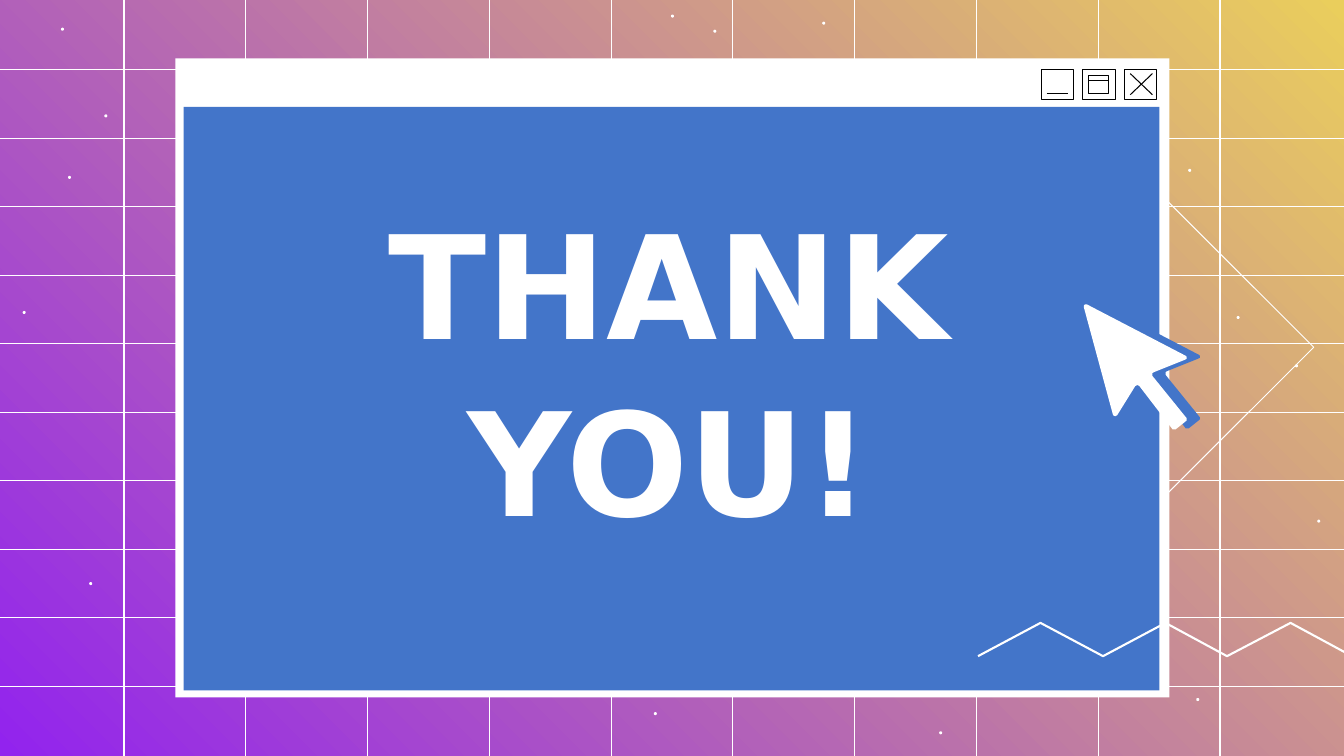
from dataclasses import dataclass

from lxml.etree import SubElement
from pptx import Presentation
from pptx.dml.color import RGBColor
from pptx.enum.shapes import MSO_CONNECTOR, MSO_SHAPE
from pptx.enum.text import MSO_ANCHOR, MSO_AUTO_SIZE, PP_ALIGN
from pptx.oxml.ns import qn
from pptx.shapes.autoshape import Shape
from pptx.shapes.shapetree import GroupShapes
from pptx.slide import Slide
from pptx.util import Inches, Pt

Point = tuple[float, float]


@dataclass(frozen=True)
class Theme:
    purple: str = "9223EE"
    yellow: str = "EACE5C"
    blue: str = "4375C9"
    white: str = "FFFFFF"
    black: str = "000000"
    font: str = "DejaVu Sans"
    title_size: float = 102.7
    thin: float = 0.75
    medium: float = 1.5


@dataclass(frozen=True)
class Box:
    left: float
    top: float
    width: float
    height: float
    fill: str | None = None
    line: str | None = None
    kind: MSO_SHAPE = MSO_SHAPE.RECTANGLE


@dataclass(frozen=True)
class Line:
    x1: float
    y1: float
    x2: float
    y2: float
    color: str


T = Theme()
WIDTH, HEIGHT = 13.33, 7.5
STAR_SIZE = 0.03

STARS = [
    (11.88, 6.94), (11.8, 1.69), (8.72, 6.32), (6.5, 7.08), (12.86, 3.63),
    (12.28, 3.15), (13.08, 5.17), (1.05, 1.15), (0.69, 1.76), (0.62, 0.29),
    (9.33, 7.27), (0.9, 5.79), (0.24, 3.1), (8.17, 0.23), (7.09, 0.31),
    (6.67, 0.16),
]
ZIGZAG = [
    (9.7, 6.51), (10.32, 6.18), (10.94, 6.51), (11.56, 6.18),
    (12.17, 6.51), (12.8, 6.18), (13.41, 6.51),
]
CURSOR = [
    (10.75, 3.03), (10.76, 3.02), (10.78, 3.02), (11.76, 3.53),
    (11.77, 3.54), (11.77, 3.56), (11.75, 3.57), (11.45, 3.69),
    (11.43, 3.7), (11.43, 3.73), (11.77, 4.15), (11.77, 4.17),
    (11.76, 4.18), (11.66, 4.26), (11.63, 4.26), (11.3, 3.83),
    (11.28, 3.82), (11.26, 3.83), (11.08, 4.12), (11.06, 4.13),
    (11.04, 4.12), (10.75, 3.05),
]
CURSOR_SHADOW_OFFSET = (0.13, -0.01)

BUTTON_LEFTS = (10.33, 10.74, 11.15)
WINDOW_BOXES = [
    Box(1.74, 0.58, 9.86, 6.34, fill=T.white),
    Box(1.82, 1.06, 9.68, 5.79, fill=T.blue),
    *(Box(x, 0.69, 0.32, 0.3, line=T.black) for x in BUTTON_LEFTS),
    Box(10.8, 0.75, 0.19, 0.18, line=T.black),
]
WINDOW_LINES = [
    Line(10.38, 0.93, 10.59, 0.93, T.black),
    Line(10.8, 0.8, 10.99, 0.8, T.black),
    Line(11.21, 0.73, 11.43, 0.94, T.black),
    Line(11.21, 0.94, 11.43, 0.73, T.black),
]


def paint(shape: Shape, fill: str | None, line: str | None, weight: float = T.thin) -> None:
    shape.shadow.inherit = False
    if fill:
        shape.fill.solid()
        shape.fill.fore_color.rgb = RGBColor.from_string(fill)
    else:
        shape.fill.background()
    if line:
        shape.line.color.rgb = RGBColor.from_string(line)
        shape.line.width = Pt(weight)
    else:
        shape.line.fill.background()


def add_box(shapes: GroupShapes, box: Box) -> None:
    frame = map(Inches, (box.left, box.top, box.width, box.height))
    paint(shapes.add_shape(box.kind, *frame), box.fill, box.line)


def add_line(shapes: GroupShapes, line: Line) -> None:
    ends = map(Inches, (line.x1, line.y1, line.x2, line.y2))
    connector = shapes.add_connector(MSO_CONNECTOR.STRAIGHT, *ends)
    connector.line.color.rgb = RGBColor.from_string(line.color)
    connector.line.width = Pt(T.thin)
    SubElement(connector.element.spPr, qn("a:effectLst"))


def add_outline(shapes: GroupShapes, points: list[Point], closed: bool) -> Shape:
    start, *rest = [(Inches(x), Inches(y)) for x, y in points]
    builder = shapes.build_freeform(*start)
    builder.add_line_segments(rest, close=closed)
    return builder.convert_to_shape()


def set_background(s: Slide) -> None:
    fill = s.background.fill
    fill.gradient()
    fill.gradient_angle = 45
    for stop, color, position in zip(fill.gradient_stops, (T.purple, T.yellow), (0, 1)):
        stop.color.rgb = RGBColor.from_string(color)
        stop.position = position


def add_grid(s: Slide) -> None:
    shapes = s.shapes.add_group_shape().shapes
    column = (12.1 - 1.23) / 9
    for i in range(10):
        x, y = 1.23 + i * column, 0.69 + i * 0.68
        add_line(shapes, Line(x, 0, x, HEIGHT, T.white))
        add_line(shapes, Line(0, y, WIDTH, y, T.white))


def add_stars(s: Slide) -> None:
    shapes = s.shapes.add_group_shape().shapes
    for x, y in STARS:
        add_box(shapes, Box(x - STAR_SIZE / 2, y - STAR_SIZE / 2, STAR_SIZE, STAR_SIZE,
                            fill=T.white, kind=MSO_SHAPE.OVAL))


def add_window(s: Slide) -> None:
    shapes = s.shapes.add_group_shape().shapes
    for box in WINDOW_BOXES:
        add_box(shapes, box)
    for line in WINDOW_LINES:
        add_line(shapes, line)


def add_title(s: Slide) -> None:
    """Format the title placeholder and bring it in front of the window."""
    sp = s.shapes.title
    sp.element.getparent().append(sp.element)
    frame = {"left": 3.34, "top": 1.12, "width": 6.59, "height": 5.06}
    for name, value in frame.items():
        setattr(sp, name, Inches(value))
    sp.fill.solid()
    sp.fill.fore_color.rgb = RGBColor.from_string(T.blue)
    tf = sp.text_frame
    tf.text = "THANK\vYOU!"
    margins = {f"margin_{side}": Inches(0.13) for side in ("left", "right", "top", "bottom")}
    layout = {"word_wrap": True, "auto_size": MSO_AUTO_SIZE.NONE,
              "vertical_anchor": MSO_ANCHOR.MIDDLE}
    for name, value in (margins | layout).items():
        setattr(tf, name, value)
    p = tf.paragraphs[0]
    p.alignment = PP_ALIGN.CENTER
    p.line_spacing = 1.03
    for r in p.runs:
        for name, value in {"name": T.font, "size": Pt(T.title_size), "bold": True}.items():
            setattr(r.font, name, value)
        r.font.color.rgb = RGBColor.from_string(T.white)


def add_cursor(s: Slide) -> None:
    shapes = s.shapes.add_group_shape().shapes
    dx, dy = CURSOR_SHADOW_OFFSET
    shadow = [(x + dx, y + dy) for x, y in CURSOR]
    for points, color in ((shadow, T.blue), (CURSOR, T.white)):
        paint(add_outline(shapes, points, closed=True), color, None)


def main() -> None:
    prs = Presentation()
    prs.slide_width, prs.slide_height = Inches(WIDTH), Inches(HEIGHT)
    s = prs.slides.add_slide(prs.slide_layouts[5])
    set_background(s)
    add_box(s.shapes, Box(9.62, 1.74, 3.41, 3.41, line=T.white, kind=MSO_SHAPE.DIAMOND))
    add_grid(s)
    add_stars(s)
    add_window(s)
    add_title(s)
    paint(add_outline(s.shapes, ZIGZAG, closed=False), None, T.white, T.medium)
    add_cursor(s)
    prs.save("out.pptx")


if __name__ == "__main__":
    main()
